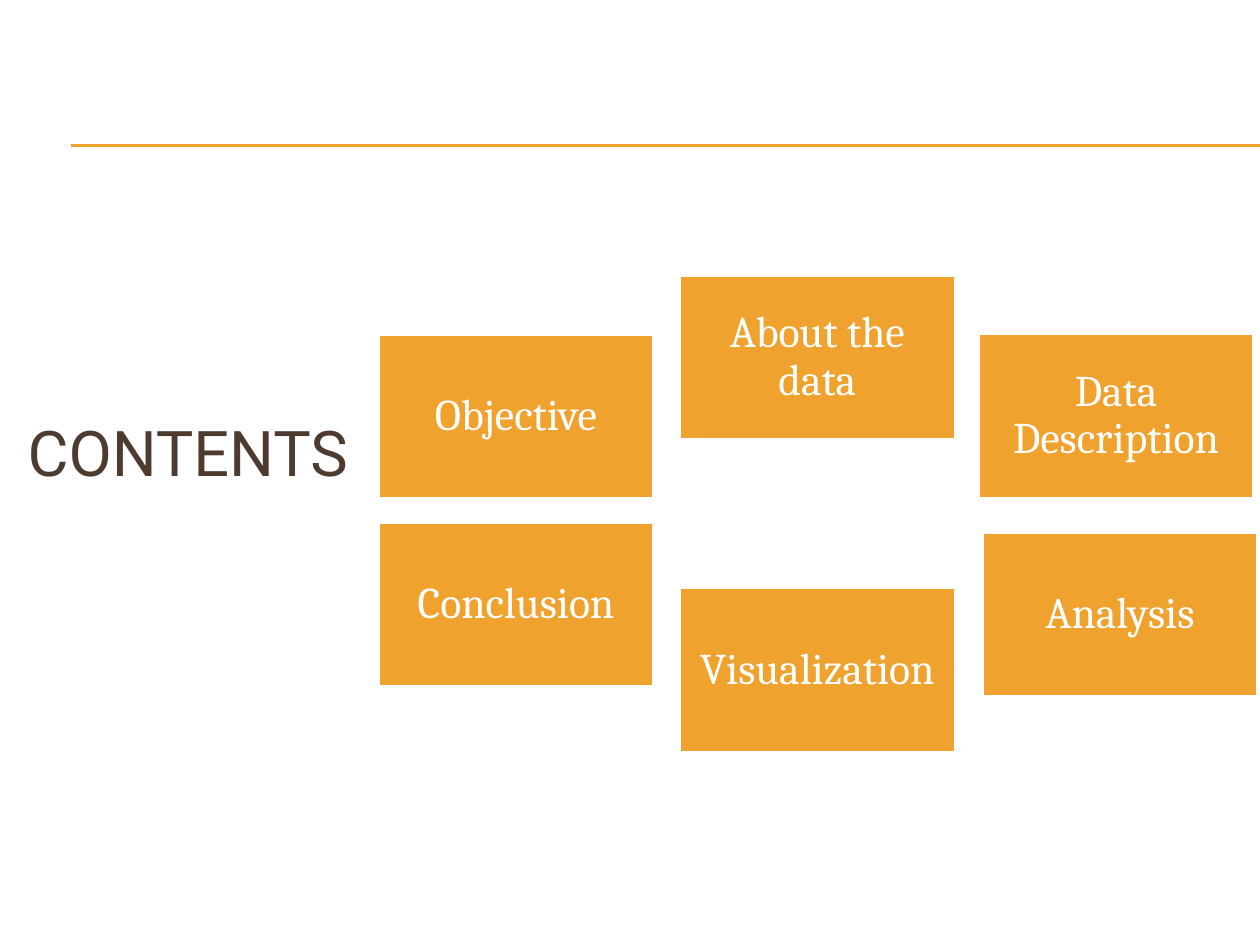
"""Build a contents slide with six topic boxes around a title."""
import pptx
import pptx.dml.color
import pptx.enum.shapes
import pptx.enum.text
import pptx.oxml.ns
import pptx.util
from lxml import etree

Pt = pptx.util.Pt
RGBColor = pptx.dml.color.RGBColor
PP_ALIGN = pptx.enum.text.PP_ALIGN

ORANGE = RGBColor(0xF0, 0xA2, 0x2E)
BROWN = RGBColor(0x4E, 0x3B, 0x30)
WHITE = RGBColor(0xFF, 0xFF, 0xFF)

BOX_WIDTH, BOX_HEIGHT = 157.7, 94.3
TOPICS = [
    ("Objective", 216, 190.8),
    ("About the data", 388.2, 157),
    ("Data Description", 558.9, 190.6),
    ("Analysis", 561.1, 304),
    ("Visualization", 388.2, 335.6),
    ("Conclusion", 216, 298.2),
]


def set_text(sp, text, *, font, size, color, align, spacing=1.0):
    """Write one vertically centred paragraph into a shape."""
    tf = sp.text_frame
    tf.word_wrap = True
    tf.auto_size = pptx.enum.text.MSO_AUTO_SIZE.NONE
    tf.vertical_anchor = pptx.enum.text.MSO_ANCHOR.MIDDLE
    p = tf.paragraphs[0]
    p.alignment = align
    p.line_spacing = spacing
    r = p.add_run()
    r.text = text
    r.font.name = font
    r.font.size = Pt(size)
    r.font.color.rgb = color


def add_title(slide, text):
    """Place and format the title placeholder."""
    sp = slide.shapes.title
    sp.left, sp.top, sp.width, sp.height = Pt(8.6), Pt(213), Pt(203.8), Pt(90)
    set_text(sp, text, font="Roboto", size=36, color=BROWN,
             align=PP_ALIGN.LEFT)


def add_rule(slide, y):
    """Draw a thin horizontal line running to the right edge."""
    line = slide.shapes.add_connector(
        pptx.enum.shapes.MSO_CONNECTOR.STRAIGHT, Pt(40.5), Pt(y), Pt(720), Pt(y))
    line.line.color.rgb = ORANGE
    line.line.width = Pt(0.75)
    etree.SubElement(line._element.spPr, pptx.oxml.ns.qn("a:effectLst"))


def add_topic(slide, text, left, top):
    """Add one filled topic box."""
    sp = slide.shapes.add_shape(
        pptx.enum.shapes.MSO_SHAPE.RECTANGLE,
        Pt(left), Pt(top), Pt(BOX_WIDTH), Pt(BOX_HEIGHT))
    sp.shadow.inherit = False
    sp.fill.solid()
    sp.fill.fore_color.rgb = ORANGE
    sp.line.color.rgb = WHITE
    sp.line.width = Pt(2)
    set_text(sp, text, font="Cambria", size=25, color=WHITE,
             align=PP_ALIGN.CENTER, spacing=0.9)
    tf = sp.text_frame
    tf.margin_left = tf.margin_right = Pt(7.2)
    tf.margin_top = tf.margin_bottom = Pt(7.2)


def main():
    """Create the slide and save it."""
    prs = pptx.Presentation()
    prs.slide_width, prs.slide_height = Pt(720), Pt(540)
    slide = prs.slides.add_slide(prs.slide_layouts[5])
    for y in (82.8, 83.4):
        add_rule(slide, y)
    add_title(slide, "CONTENTS")
    for topic in TOPICS:
        add_topic(slide, *topic)
    prs.save("out.pptx")


main()
